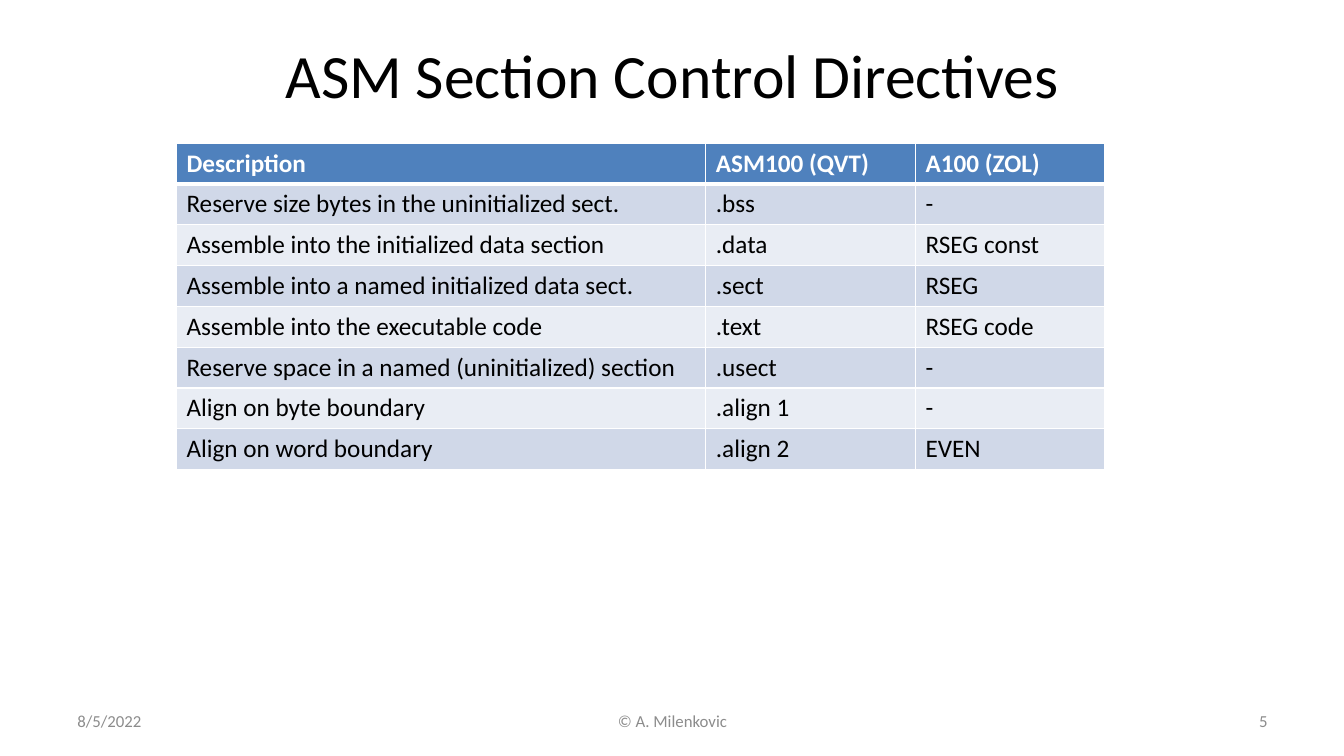
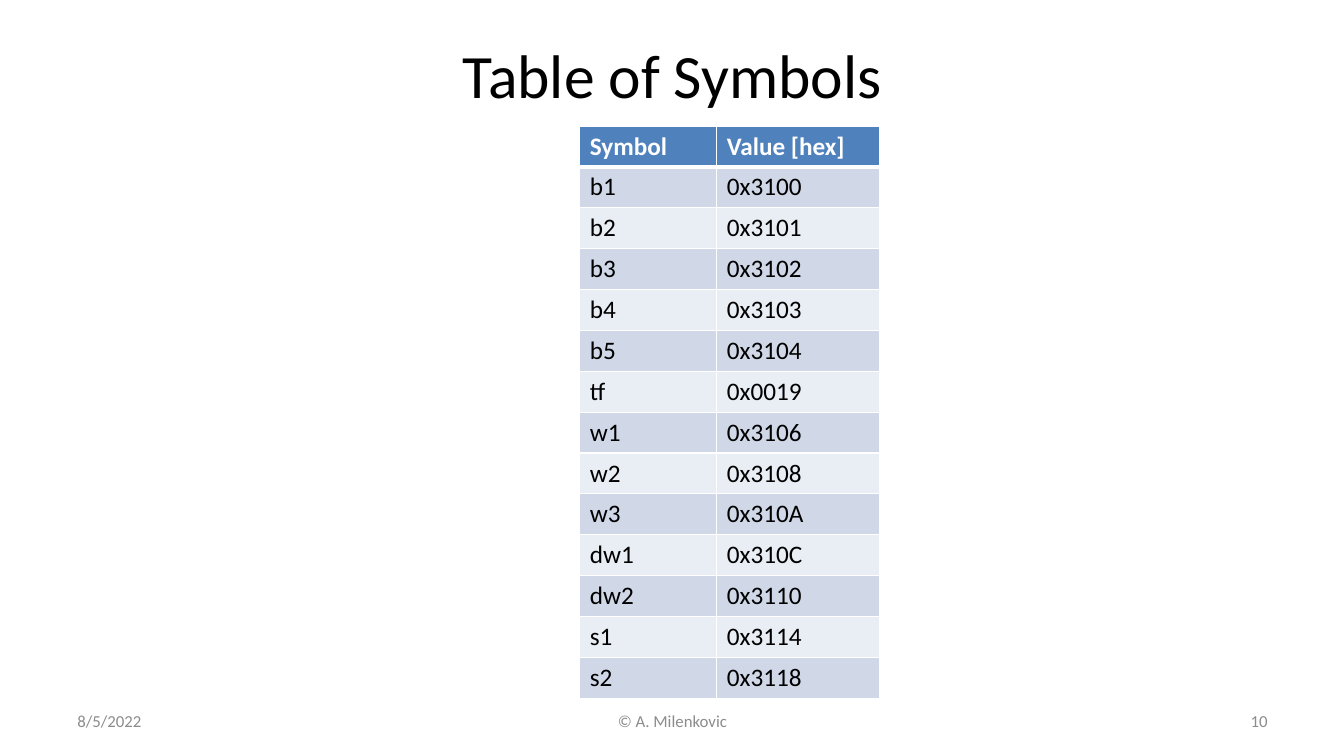
from dataclasses import dataclass

from lxml.etree import SubElement
from pptx import Presentation
from pptx.dml.color import RGBColor
from pptx.enum.text import MSO_ANCHOR, PP_ALIGN
from pptx.oxml.ns import qn
from pptx.util import Inches, Pt


@dataclass(frozen=True)
class Theme:
    font: str = "Calibri"
    title_size: int = 44
    table_size: int = 18
    footer_size: int = 12
    text: str = "000000"
    footer: str = "8C8C8C"
    white: str = "FFFFFF"
    header: str = "4F81BD"
    bands: tuple = ("D0D8E8", "E9EDF4")
    thin: int = 1
    thick: int = 3


theme = Theme()


def format_text(frame, size, color, align=PP_ALIGN.LEFT, bold=False):
    frame.word_wrap = True
    for para in frame.paragraphs:
        para.alignment = align
        para.font.name = theme.font
        para.font.size = Pt(size)
        para.font.bold = bold
        para.font.color.rgb = RGBColor.from_string(color)


def set_borders(cell, top, bottom):
    properties = cell._tc.get_or_add_tcPr()
    widths = {"lnL": theme.thin, "lnR": theme.thin, "lnT": top, "lnB": bottom}
    for side, width in widths.items():
        line = SubElement(properties, qn(f"a:{side}"), w=str(Pt(width)))
        fill = SubElement(line, qn("a:solidFill"))
        SubElement(fill, qn("a:srgbClr"), val=theme.white)


# Content: title, page number, table position and height, column widths, rows
pages = [
    ("ASM Section Control Directives", 5, (1.75, 1.42), 3.24, (5.25, 2.08, 1.88), [
        ("Description", "ASM100 (QVT)", "A100 (ZOL)"),
        ("Reserve size bytes in the uninitialized sect.", ".bss", "-"),
        ("Assemble into the initialized data section", ".data", "RSEG const"),
        ("Assemble into a named initialized data sect.", ".sect", "RSEG"),
        ("Assemble into the executable code", ".text", "RSEG code"),
        ("Reserve space in a named (uninitialized) section", ".usect", "-"),
        ("Align on byte boundary", ".align 1", "-"),
        ("Align on word boundary", ".align 2", "EVEN"),
    ]),
    ("Table of Symbols", 10, (5.75, 1.25), 5.68, (1.36, 1.61), [
        ("Symbol", "Value [hex]"),
        ("b1", "0x3100"),
        ("b2", "0x3101"),
        ("b3", "0x3102"),
        ("b4", "0x3103"),
        ("b5", "0x3104"),
        ("tf", "0x0019"),
        ("w1", "0x3106"),
        ("w2", "0x3108"),
        ("w3", "0x310A"),
        ("dw1", "0x310C"),
        ("dw2", "0x3110"),
        ("s1", "0x3114"),
        ("s2", "0x3118"),
    ]),
]

deck = Presentation()
deck.slide_width, deck.slide_height = Inches(13.33), Inches(7.5)

for heading, number, (left, top), height, widths, rows in pages:
    page = deck.slides.add_slide(deck.slide_layouts[5])

    # Title
    title = page.shapes.title
    title.left, title.top = Inches(0.67), Inches(0.3)
    title.width, title.height = Inches(12), Inches(0.87)
    title.text_frame.text = heading
    title.text_frame.vertical_anchor = MSO_ANCHOR.MIDDLE
    format_text(title.text_frame, theme.title_size, theme.text, PP_ALIGN.CENTER)

    # Footer: date, author, page number
    for words, box_left, box_width, align in [
        ("8/5/2022", 0.67, 3.11, PP_ALIGN.LEFT),
        ("© A. Milenkovic", 4.56, 4.22, PP_ALIGN.CENTER),
        (str(number), 9.56, 3.11, PP_ALIGN.RIGHT),
    ]:
        box = page.shapes.add_textbox(
            Inches(box_left), Inches(6.95), Inches(box_width), Inches(0.4))
        box.text_frame.text = words
        box.text_frame.vertical_anchor = MSO_ANCHOR.MIDDLE
        format_text(box.text_frame, theme.footer_size, theme.footer, align)

    # Table: equal rows, a header and alternating bands
    table = page.shapes.add_table(
        len(rows), len(widths), Inches(left), Inches(top),
        Inches(sum(widths)), Inches(height)).table
    for column, width in zip(table.columns, widths):
        column.width = Inches(width)
    for row_index, row in enumerate(rows):
        is_header = row_index == 0
        fill = theme.header if is_header else theme.bands[(row_index - 1) % 2]
        color = theme.white if is_header else theme.text
        above = theme.thick if row_index == 1 else theme.thin
        below = theme.thick if is_header else theme.thin
        for column_index, words in enumerate(row):
            cell = table.cell(row_index, column_index)
            cell.text = words
            format_text(cell.text_frame, theme.table_size, color, bold=is_header)
            set_borders(cell, above, below)
            cell.fill.solid()
            cell.fill.fore_color.rgb = RGBColor.from_string(fill)

deck.save("out.pptx")
